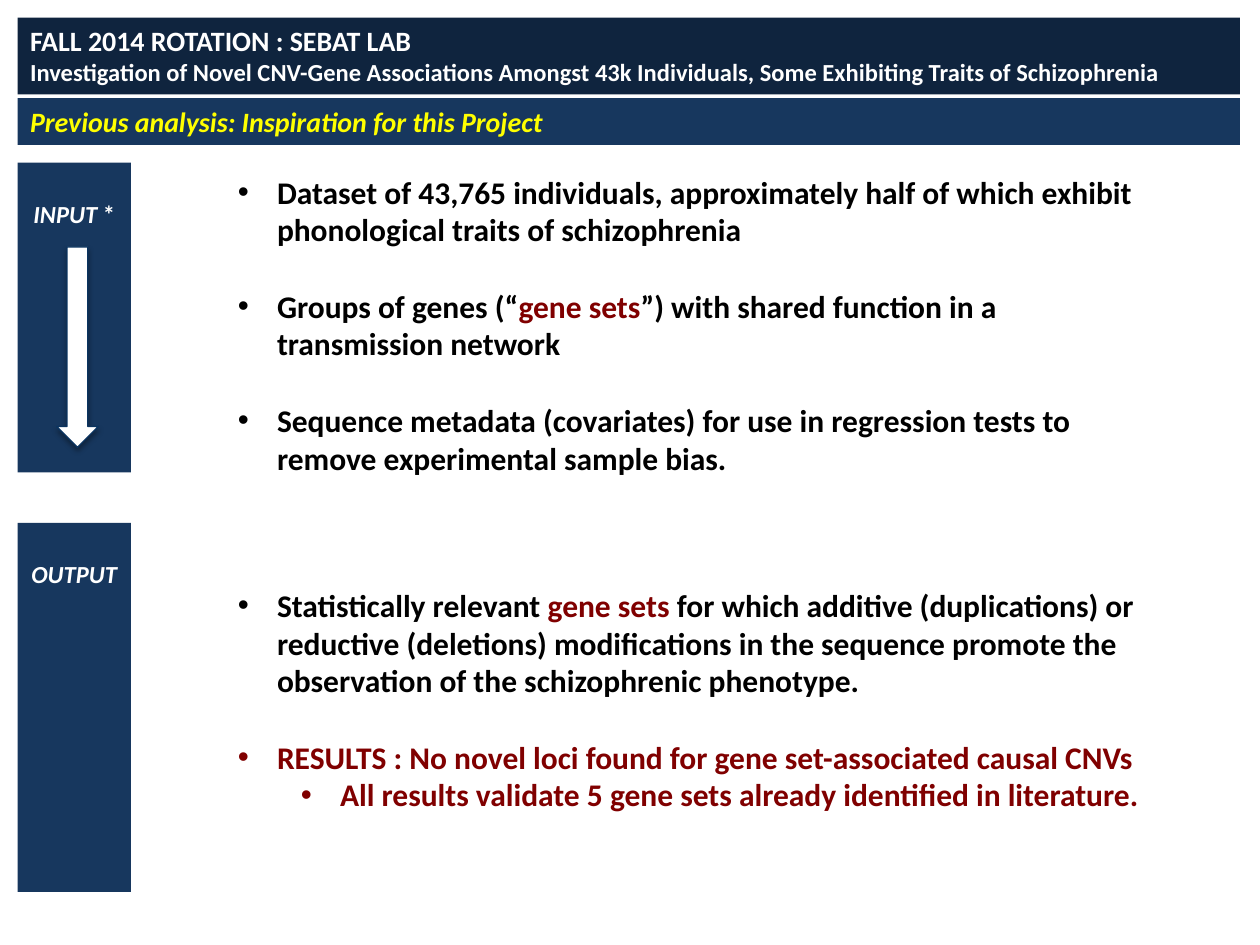
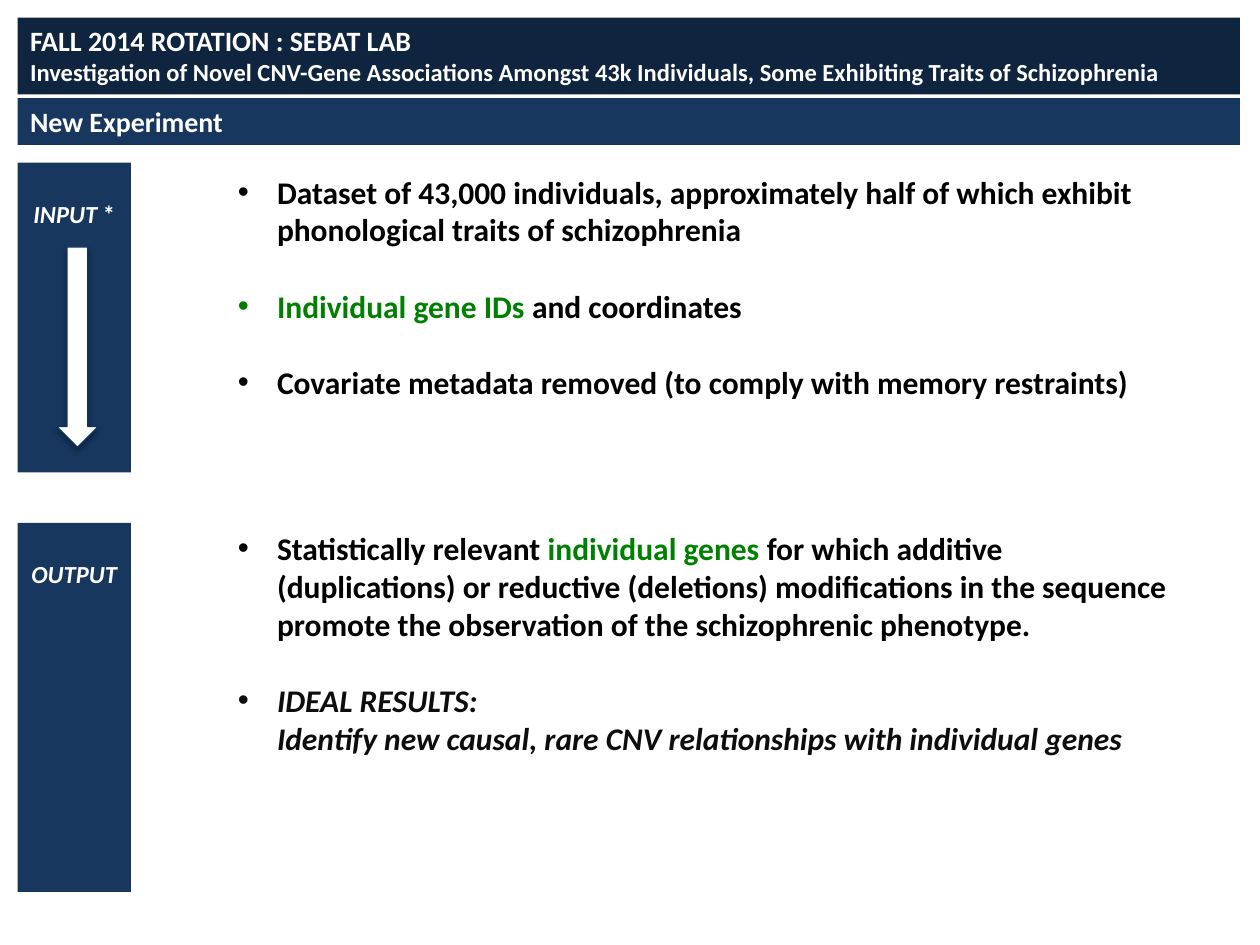
from copy import deepcopy
from dataclasses import dataclass

from lxml import etree
from pptx import Presentation
from pptx.dml.color import RGBColor
from pptx.enum.shapes import MSO_SHAPE
from pptx.enum.text import MSO_ANCHOR, PP_ALIGN
from pptx.oxml.ns import qn
from pptx.util import Inches, Pt

RECT, DOWN_ARROW = MSO_SHAPE.RECTANGLE, MSO_SHAPE.DOWN_ARROW
TOP, LEFT, CENTER = MSO_ANCHOR.TOP, PP_ALIGN.LEFT, PP_ALIGN.CENTER

COLORS = {
    "navy": "0F243E", "blue": "17375E", "outline": "0B3460",
    "white": "FFFFFF", "yellow": "FFFF00", "black": "000000",
    "ink": "0D0D0D", "red": "800000", "green": "008000",
}
FONT = "Calibri"
COLS, ROWS = 100, 75  # grid over the whole slide
BODY_SIZE, LABEL_SIZE, TITLE_SIZE = 18, 14, 16
LINE = 1.22  # line height as a share of the font size


@dataclass
class Box:
    """Place on the slide, in grid columns and rows."""
    col: float
    row: float
    cols: float
    rows: float


@dataclass
class Run:
    text: str
    color: str = "black"
    size: float = BODY_SIZE
    italic: bool = False


@dataclass
class Bullet:
    runs: list[Run]
    level: int = 0


@dataclass
class Page:
    heading: Run
    inputs: list[Bullet]
    outputs: list[Bullet]
    output_row: float


# Shared layout
MARGIN, BAND_W, SIDE_W = 1.4, 97, 9
TITLE_BAND = Box(MARGIN, 1.4, BAND_W, 6.1)
HEADING_BAND = Box(MARGIN, 7.8, BAND_W, 3.7)
INPUT_BAR = Box(MARGIN, 12.9, SIDE_W, 24.6)
OUTPUT_BAR = Box(MARGIN, 41.5, SIDE_W, 29.3)
ARROW = Box(4.5, 19.6, 3.3, 15.9)
BODY_COL, BODY_W, INPUT_ROW = 17.9, 75.8, 13.2

TITLE = [
    Run("FALL 2014 ROTATION : SEBAT LAB\n", "white", TITLE_SIZE),
    Run("Investigation of Novel CNV-Gene Associations Amongst 43k Individuals, "
        "Some Exhibiting Traits of Schizophrenia", "white", LABEL_SIZE),
]
INPUT_LABEL = [Run("INPUT", "white", LABEL_SIZE, True), Run(" *", "white", LABEL_SIZE)]
OUTPUT_LABEL = [Run("OUTPUT", "white", LABEL_SIZE, True)]


def dataset(count: str) -> Bullet:
    return Bullet([Run(f"Dataset of {count} individuals, approximately half of which "
                       "exhibit phonological traits of schizophrenia")])


def relevant(subject: str, color: str) -> Bullet:
    return Bullet([
        Run("Statistically relevant "), Run(f"{subject} ", color),
        Run("for which additive (duplications) or reductive (deletions) modifications "
            "in the sequence promote the observation of the schizophrenic phenotype."),
    ])


PAGES = [
    Page(
        Run("Previous analysis: Inspiration for this Project", "yellow", TITLE_SIZE, True),
        [
            dataset("43,765"),
            Bullet([Run("Groups of genes (“"), Run("gene sets", "red"),
                    Run("”) with shared function in a transmission network")]),
            Bullet([Run("Sequence metadata (covariates) for use in regression tests "
                        "to remove experimental sample bias.")]),
        ],
        [
            relevant("gene sets", "red"),
            Bullet([Run("RESULTS : No novel loci found for gene set-associated "
                        "causal CNVs", "red")]),
            Bullet([Run("All results validate 5 gene sets already identified in "
                        "literature.", "red")], level=1),
        ],
        output_row=46,
    ),
    Page(
        Run("New Experiment", "white", TITLE_SIZE),
        [
            dataset("43,000"),
            Bullet([Run("Individual gene IDs ", "green"), Run("and coordinates")]),
            Bullet([Run("Covariate metadata removed (to comply with memory restraints)")]),
        ],
        [
            relevant("individual genes", "green"),
            Bullet([Run("IDEAL RESULTS: \nIdentify new causal, rare CNV relationships "
                        "with individual genes", "ink", italic=True)]),
        ],
        output_row=41.5,
    ),
]

prs = Presentation()
prs.slide_width, prs.slide_height = Inches(10), Inches(7.5)


def rgb(name: str) -> RGBColor:
    return RGBColor.from_string(COLORS[name])


def place(box: Box) -> tuple[int, int, int, int]:
    x, y = prs.slide_width / COLS, prs.slide_height / ROWS
    return int(box.col * x), int(box.row * y), int(box.cols * x), int(box.rows * y)


def add_runs(p, runs: list[Run]) -> None:
    """Write bold runs; a newline becomes a line break of the same size."""
    for run in runs:
        for i, text in enumerate(run.text.split("\n")):
            if i:
                p.add_line_break()
                p._p[-1].append(deepcopy(r._r.get_or_add_rPr()))
            if not text:
                continue
            r = p.add_run()
            r.text = text
            r.font.name, r.font.size = FONT, Pt(run.size)
            r.font.bold, r.font.italic = True, run.italic
            r.font.color.rgb = rgb(run.color)


def add_panel(s, box: Box, fill: str, runs: list[Run], align=LEFT, lead: float = 0) -> None:
    """Filled rectangle with text, started lead points below the usual inset."""
    sp = s.shapes.add_shape(RECT, *place(box))
    sp.shadow.inherit = False
    sp.fill.solid()
    sp.fill.fore_color.rgb = rgb(fill)
    sp.line.fill.background()
    tf = sp.text_frame
    tf.word_wrap, tf.vertical_anchor = True, TOP
    tf.margin_top = Inches(0.05) + Pt(lead)
    p = tf.paragraphs[0]
    p.alignment = align
    add_runs(p, runs)


def add_arrow(s, box: Box) -> None:
    sp = s.shapes.add_shape(DOWN_ARROW, *place(box))
    sp.fill.solid()
    sp.fill.fore_color.rgb = rgb("white")
    sp.line.color.rgb, sp.line.width = rgb("outline"), Pt(0.75)
    sp.shadow.inherit = False
    # Soft shadow straight below
    effects = sp._element.spPr.find(qn("a:effectLst"))
    shadow = etree.SubElement(effects, qn("a:outerShdw"), blurRad=str(Pt(3.1)),
                              dist=str(Pt(1.8)), dir="5400000", rotWithShape="0")
    color = etree.SubElement(shadow, qn("a:srgbClr"), val=COLORS["black"])
    etree.SubElement(color, qn("a:alpha"), val="35000")


def add_bullets(s, col: float, row: float, bullets: list[Bullet], rows: float) -> None:
    tf = s.shapes.add_textbox(*place(Box(col, row, BODY_W, rows))).text_frame
    tf.word_wrap = True
    for i, bullet in enumerate(bullets):
        p = tf.paragraphs[0] if i == 0 else tf.add_paragraph()
        p.level = bullet.level
        if i and not bullet.level:
            p.space_before = Pt(round(BODY_SIZE * LINE))
        pPr = p._p.get_or_add_pPr()
        pPr.set("marL", str(Inches(0.31 + 0.5 * bullet.level)))
        pPr.set("indent", str(Inches(-0.31)))
        etree.SubElement(pPr, qn("a:buFont"), typeface="Arial")
        etree.SubElement(pPr, qn("a:buChar"), char="•")
        add_runs(p, bullet.runs)


for page in PAGES:
    s = prs.slides.add_slide(prs.slide_layouts[6])
    # Title and heading bands
    add_panel(s, TITLE_BAND, "navy", TITLE)
    add_panel(s, HEADING_BAND, "blue", [page.heading])
    # Side bars with the arrow from input to output
    for bar, label in ((INPUT_BAR, INPUT_LABEL), (OUTPUT_BAR, OUTPUT_LABEL)):
        add_panel(s, bar, "blue", label, CENTER, lead=LABEL_SIZE * LINE)
    add_arrow(s, ARROW)
    # Bulleted text beside each bar
    add_bullets(s, BODY_COL, INPUT_ROW, page.inputs, 25.2 if page is PAGES[0] else 19.2)
    add_bullets(s, BODY_COL, page.output_row, page.outputs, 19.2)

prs.save("out.pptx")
